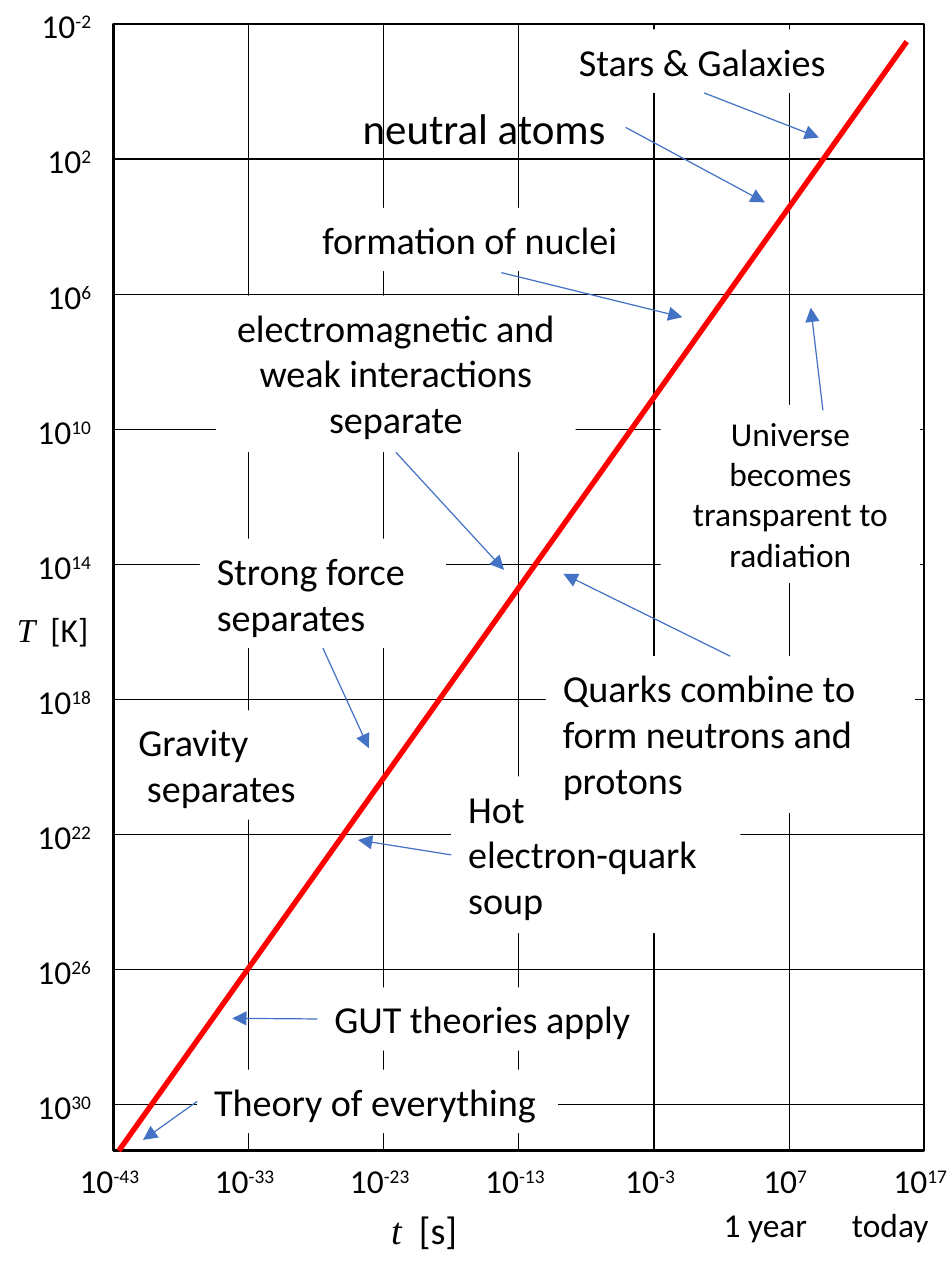
"""Build a slide of the temperature of the universe against time on a power-of-ten grid."""
from lxml.etree import SubElement
from pptx import Presentation
from pptx.dml.color import RGBColor
from pptx.enum.shapes import MSO_CONNECTOR as Connector, MSO_SHAPE as Shape
from pptx.enum.text import MSO_ANCHOR as Anchor, PP_ALIGN as Align
from pptx.oxml.ns import qn
from pptx.util import Cm, Inches, Pt

COLUMNS, ROWS = 6, 8.34
LEFT, TOP, CELL = 0.66, 0.14, 4.72 / COLUMNS
BLACK, WHITE, RED, BLUE = "000000", "FFFFFF", "FF0000", "4472C4"
SANS, SERIF = "Calibri", "Times New Roman"
TOP_SIDE, LEFT_SIDE, BOTTOM_SIDE, RIGHT_SIDE = range(4)

presentation = Presentation()
presentation.slide_width = Cm(14)
presentation.slide_height = Inches(7.5)
slide = presentation.slides.add_slide(presentation.slide_layouts[6])


def add_line(start, end, color, width, arrow=False):
    points = [Inches(edge + CELL * cells)
              for point in (start, end) for edge, cells in zip((LEFT, TOP), point)]
    line = slide.shapes.add_connector(Connector.STRAIGHT, *points)
    line.line.color.rgb = RGBColor.from_string(color)
    line.line.width = Pt(width)
    properties = line._element.spPr
    if arrow:
        SubElement(properties.find(qn("a:ln")), qn("a:tailEnd"), type="triangle")
    SubElement(properties, qn("a:effectLst"))
    return line


def add_text(box, paragraphs, size, align=Align.LEFT, wrap=False, fill=None):
    column, row, width, height = box
    place = [Inches(length) for length in (
        LEFT + CELL * column, TOP + CELL * row, CELL * width, CELL * height)]
    if fill:
        shape = slide.shapes.add_shape(Shape.RECTANGLE, *place)
        shape.shadow.inherit = False
        shape.fill.solid()
        shape.fill.fore_color.rgb = RGBColor.from_string(fill)
        shape.line.fill.background()
    else:
        shape = slide.shapes.add_textbox(*place)
    frame = shape.text_frame
    frame.word_wrap = wrap
    frame.vertical_anchor = Anchor.TOP
    for index, runs in enumerate(paragraphs):
        paragraph = frame.add_paragraph() if index else frame.paragraphs[0]
        paragraph.alignment = align
        for text, style in runs:
            run = paragraph.add_run()
            run.text = text
            run.font.size = Pt(size)
            run.font.name = SERIF if style == "symbol" else SANS
            run.font.italic = style == "symbol"
            run.font.color.rgb = RGBColor.from_string(BLACK)
            if style == "power":
                run._r.get_or_add_rPr().set("baseline", "30000")
    return shape


chart_frame = slide.shapes.add_shape(
    Shape.RECTANGLE, Inches(LEFT), Inches(TOP), Inches(CELL * COLUMNS), Inches(CELL * ROWS))
chart_frame.shadow.inherit = False
chart_frame.fill.background()
chart_frame.line.color.rgb = RGBColor.from_string(BLACK)
chart_frame.line.width = Pt(1)

for column in range(1, COLUMNS):
    grid_line = add_line((column, 0), (column, ROWS), BLACK, 0.5)
    if column * 2 == COLUMNS:
        grid_line.begin_connect(chart_frame, TOP_SIDE)
        grid_line.end_connect(chart_frame, BOTTOM_SIDE)
for row in range(1, 9):
    add_line((0, row), (COLUMNS, row), BLACK, 0.5)

for column in range(COLUMNS + 1):
    power = str(10 * column - 43)
    add_text((column - 0.43, ROWS + 0.01, 0.8, 0.43),
             [[("10", "plain"), (power, "power")]], 14, Align.CENTER, True)
for row in range(9):
    power = str(4 * row - 2)
    add_text((-0.84, row - 0.2, 0.8, 0.43),
             [[("10", "plain"), (power, "power")]], 14, Align.RIGHT, True)

axis_notes = [
    ((1.93, 8.69, 0.76, 0.47), [("t", "symbol"), ("  [s]", "plain")], 16),
    ((4.39, 8.67, 0.88, 0.43), [("1 year", "plain")], 14),
    ((5.34, 8.67, 0.83, 0.43), [("today", "plain")], 14),
    ((-0.84, 4.27, 0.79, 0.43), [("T", "symbol"), ("  [K]", "plain")], 14),
]
for box, runs, size in axis_notes:
    add_text(box, [runs], size)

add_line((0.04, ROWS), (5.87, 0.13), RED, 2.25)

events = [
    ((0.62, 7.74, 2.67, 0.47), ["Theory of everything"], 16, Align.LEFT, WHITE,
     LEFT_SIDE, (0.22, 8.26)),
    ((1.51, 7.13, 2.48, 0.47), ["GUT theories apply"], 16, Align.LEFT, WHITE,
     LEFT_SIDE, (0.88, 7.36)),
    ((0.06, 5.08, 1.44, 0.81), ["Gravity", " separates"], 16, Align.LEFT, WHITE, None, None),
    ((2.5, 5.57, 2.14, 1.16), ["Hot", "electron-quark soup"], 16, Align.LEFT, WHITE,
     LEFT_SIDE, (1.81, 6.04)),
    ((0.64, 3.81, 1.82, 0.81), ["Strong force separates"], 16, Align.LEFT, WHITE,
     BOTTOM_SIDE, (1.89, 5.36)),
    ((0.76, 2.01, 2.66, 1.16), ["electromagnetic and weak interactions separate"], 16,
     Align.CENTER, WHITE, BOTTOM_SIDE, (2.89, 4.04)),
    ((3.2, 4.68, 2.73, 1.16), ["Quarks combine to form neutrons and protons"], 16,
     Align.LEFT, WHITE, TOP_SIDE, (3.33, 4.07)),
    ((1.42, 1.36, 2.47, 0.47), ["formation of nuclei"], 16, Align.LEFT, WHITE,
     (2.87, 1.84), (4.21, 2.17)),
    ((1.72, 0.51, 2.07, 0.51), ["neutral atoms"], 18, Align.LEFT, None,
     RIGHT_SIDE, (4.82, 1.32)),
    ((3.32, 0.04, 2.1, 0.47), ["Stars & Galaxies"], 16, Align.LEFT, WHITE,
     BOTTOM_SIDE, (5.22, 0.84)),
    ((4.05, 2.82, 1.92, 1.32), ["Universe becomes transparent to radiation"], 14,
     Align.CENTER, WHITE, (5.25, 2.86), (5.16, 2.1)),
]
for box, texts, size, align, fill, start, target in events:
    paragraphs = [[(text, "plain")] for text in texts]
    label = add_text(box, paragraphs, size, align, box[3] > 0.6, fill)
    if target:
        joined = isinstance(start, int)
        arrow = add_line(box[:2] if joined else start, target, BLUE, 0.5, True)
        if joined:
            arrow.begin_connect(label, start)

presentation.save("out.pptx")
